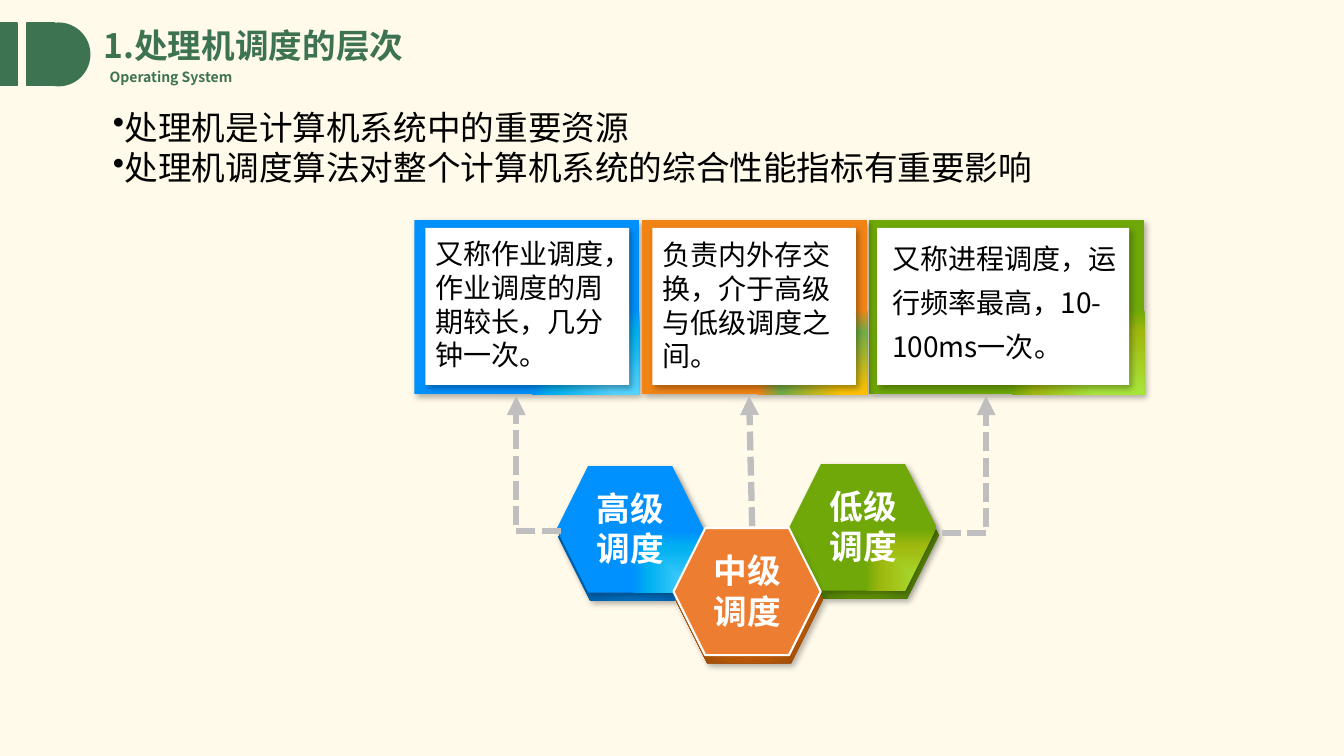
import pptx
import pptx.util
import pptx.dml.color
import pptx.enum.dml
import pptx.enum.shapes
import pptx.enum.text
import pptx.oxml.ns
from lxml import etree

Inches = pptx.util.Inches
Pt = pptx.util.Pt
Shape = pptx.enum.shapes.MSO_SHAPE
Align = pptx.enum.text.PP_ALIGN
Anchor = pptx.enum.text.MSO_ANCHOR
qn = pptx.oxml.ns.qn

GREEN = "3D7351"
SANS = "Noto Sans CJK SC"
CORNER = ("rect", (100, 100, 0, 0))
CENTER = ("circle", (50, 50, 50, 50))
SKY = (CORNER, [(0, "57D3FF"), (71, "00B0F0"), (97, "0091FE")])
LIME = (CORNER, [(0, "A8E53B"), (70, "A1B90F"), (97, "6FA808")])
GOLD = (CORNER, [(0, "FFC000"), (71, "70AD47"), (97, "F28416")])
NAVY = (CENTER, [(0, "00B0F0"), (41, "007DDA"), (97, "005696")])
MOSS = (CENTER, [(0, "A8E53B"), (55, "679D07"), (97, "416305")])
RUST = (CENTER, [(0, "C49500"), (32, "E06B0A"), (97, "884106")])


def color(code):
    return pptx.dml.color.RGBColor.from_string(code)


def add(parent, tag, **attrs):
    return etree.SubElement(parent, qn(tag), {k: str(v) for k, v in attrs.items()})


class Board:
    def __init__(self, deck, back):
        self.slide = deck.slides.add_slide(deck.slide_layouts[6])
        self.shapes = self.slide.shapes
        fill = self.slide.background.fill
        fill.solid()
        fill.fore_color.rgb = color(back)

    def blend(self, shape, style):
        (kind, focus), stops = style
        shape.fill.gradient()
        grad = shape._element.spPr.find(qn("a:gradFill"))
        for child in list(grad):
            grad.remove(child)
        items = add(grad, "a:gsLst")
        for place, code in stops:
            add(add(items, "a:gs", pos=place * 1000), "a:srgbClr", val=code)
        area = add(grad, "a:path", path=kind)
        add(area, "a:fillToRect", **{k: v * 1000 for k, v in zip("ltrb", focus)})

    def shade(self, shape):
        effects = shape._element.spPr.find(qn("a:effectLst"))
        outer = add(effects, "a:outerShdw", blurRad=Pt(4.5), dist=Pt(2.6),
                    dir=53 * 60000, algn="tl", rotWithShape=0)
        add(add(outer, "a:srgbClr", val="000000"), "a:alpha", val=30000)

    def block(self, kind, box, fill, line=None, width=1, shadow=False):
        shape = self.shapes.add_shape(kind, *map(Inches, box))
        if isinstance(fill, str):
            shape.fill.solid()
            shape.fill.fore_color.rgb = color(fill)
        else:
            self.blend(shape, fill)
        if line:
            shape.line.color.rgb = color(line)
            shape.line.width = Pt(width)
        else:
            shape.line.fill.background()
        shape.shadow.inherit = False
        if shadow:
            self.shade(shape)

    def text(self, box, lines, size, code="000000", bold=False, face=SANS,
             align=Align.LEFT, anchor=Anchor.TOP, space=None, bullet=None, wrap=True):
        frame = self.shapes.add_textbox(*map(Inches, box)).text_frame
        frame.word_wrap = wrap
        frame.vertical_anchor = anchor
        frame.text = "\n".join(lines)
        for para in frame.paragraphs:
            para.alignment = align
            if space:
                para.line_spacing = space
            if bullet:
                props = para._p.get_or_add_pPr()
                props.set("marL", "0")
                props.set("indent", "0")
                add(props, "a:buChar", char=bullet)
            font = para.font
            font.size = Pt(size)
            font.bold = bold
            font.color.rgb = color(code)
            font.name = face
            add(para._p.pPr.find(qn("a:defRPr")), "a:ea", typeface=SANS)

    def dash(self, shape):
        shape.line.color.rgb = color("BFBFBF")
        shape.line.width = Pt(4.5)
        shape.line.dash_style = pptx.enum.dml.MSO_LINE.SQUARE_DOT
        add(shape.line._get_or_add_ln(), "a:tailEnd", type="triangle")

    def elbow(self, start, *rest):
        maker = self.shapes.build_freeform(*map(Inches, start), scale=1.0)
        maker.add_line_segments([tuple(map(Inches, p)) for p in rest], close=False)
        shape = maker.convert_to_shape()
        shape.fill.background()
        self.dash(shape)
        shape.shadow.inherit = False

    def arrow(self, start, end):
        line = self.shapes.add_connector(
            pptx.enum.shapes.MSO_CONNECTOR.STRAIGHT, *map(Inches, start + end))
        self.dash(line)
        add(line._element.spPr, "a:effectLst")


def main():
    deck = pptx.Presentation()
    deck.slide_width = Inches(13.33)
    deck.slide_height = Inches(7.5)
    board = Board(deck, "FFFAEA")

    for kind, left, width in ((Shape.RECTANGLE, 0, 0.17),
                              (Shape.RECTANGLE, 0.27, 0.27),
                              (Shape.OVAL, 0.27, 0.62)):
        board.block(kind, (left, 0.23, width, 0.62), GREEN, GREEN)
    board.text((0.99, 0.63, 1.47, 0.27), ["Operating System"], 10, GREEN, True, wrap=False)
    board.text((0.93, 0.22, 4.34, 0.5), ["1.处理机调度的层次"], 24, GREEN, True,
               anchor=Anchor.MIDDLE, space=0.9)

    levels = (
        ("高级调度", 5.52, 4.62, SKY, NAVY, None),
        ("低级调度", 7.83, 4.6, LIME, MOSS, None),
        ("中级调度", 6.68, 5.24, "ED7D31", RUST, "FFFFFF"),
    )
    for label, left, top, face, base, edge in levels:
        board.block(Shape.HEXAGON, (left + 0.02, top + 0.08, 1.46, 1.26), base, shadow=True)
        board.block(Shape.HEXAGON, (left, top, 1.46, 1.26), face, edge, 1.5,
                    shadow=edge is None)
        board.text((left + 0.15, top + 0.17, 1.16, 0.91), [label], 24, "FFFFFF", True,
                   align=Align.CENTER)

    cards = (
        (4.11, 2.23, SKY, 4.22, 2.02, (4.22, 2.3, 2.05, 1.45), None,
         "又称作业调度，作业调度的周期较长，几分钟一次。"),
        (8.62, 2.73, LIME, 8.7, 2.5, (8.75, 2.25, 2.5, 1.38), 1.3,
         "又称进程调度，运行频率最高，10-100ms一次。"),
        (6.37, 2.23, GOLD, 6.47, 2.02, (6.47, 2.31, 2.02, 1.45), None,
         "负责内外存交换，介于高级与低级调度之间。"),
    )
    for left, width, frame, inset, span, box, space, words in cards:
        board.block(Shape.RECTANGLE, (left, 2.18, width, 1.73), frame, shadow=True)
        board.block(Shape.RECTANGLE, (inset, 2.26, span, 1.56), "FFFFFF", shadow=True)
        board.text(box, [words], 20, space=space)

    board.elbow((5.56, 5.27), (5.12, 5.27), (5.12, 3.93))
    board.elbow((9.34, 5.29), (9.78, 5.29), (9.78, 3.93))
    board.arrow((7.46, 5.22), (7.43, 3.93))

    board.text((1.02, 1.01, 10.49, 0.91),
               ["处理机是计算机系统中的重要资源",
                "处理机调度算法对整个计算机系统的综合性能指标有重要影响"],
               24, face="Calibri", bullet="•")
    deck.save("out.pptx")


if __name__ == "__main__":
    main()
